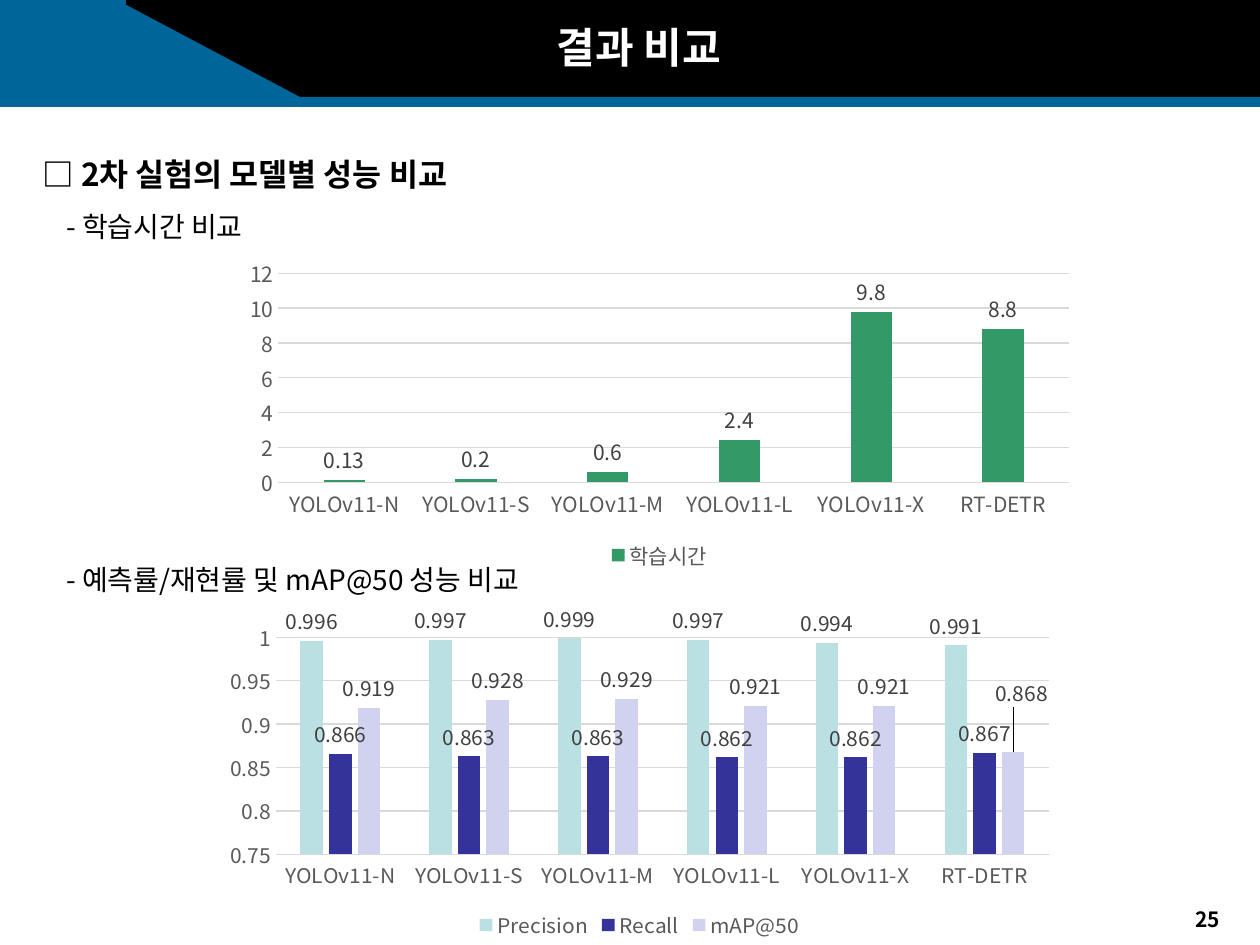
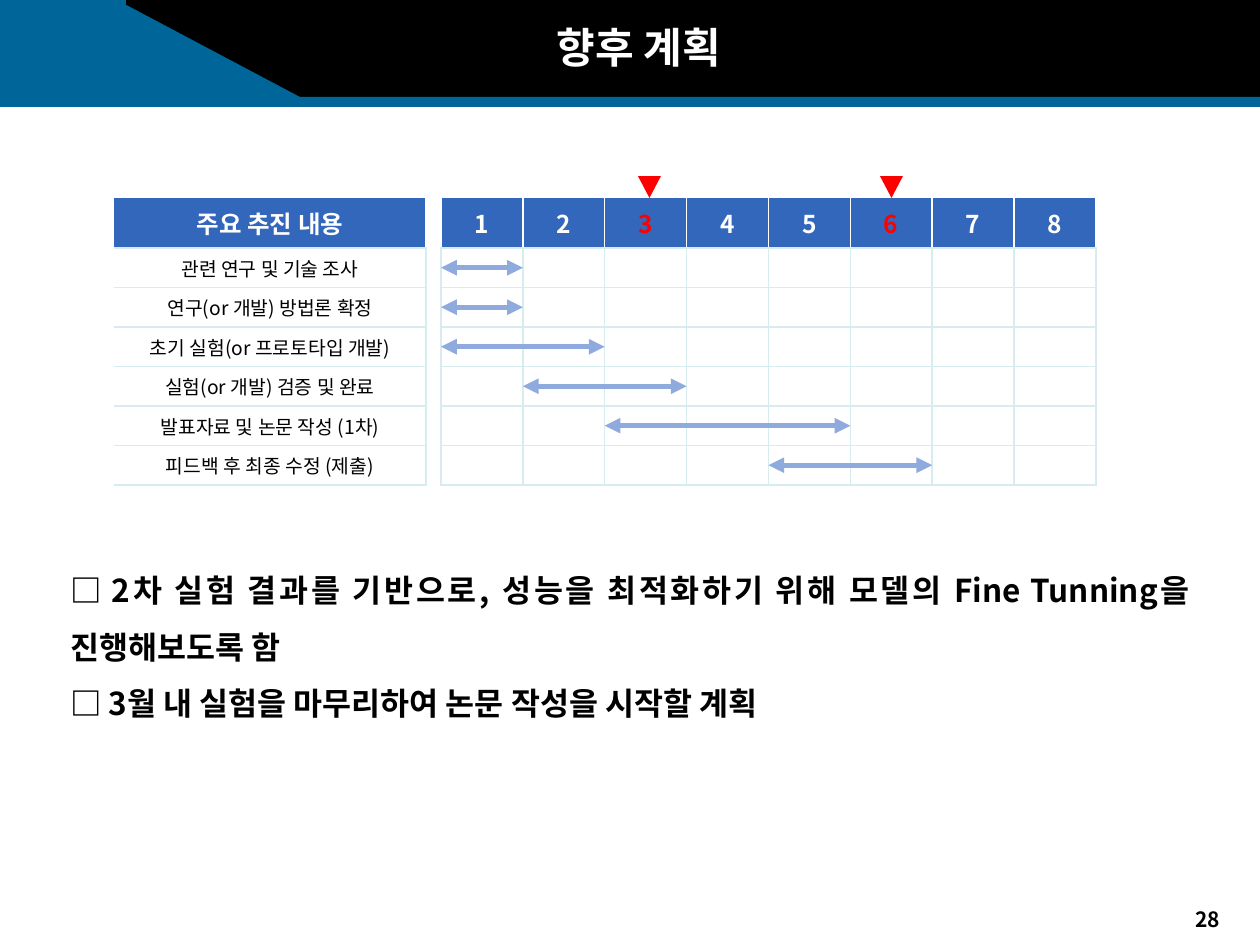
from lxml import etree
from pptx import Presentation
from pptx.chart.data import CategoryChartData
from pptx.dml.color import RGBColor
from pptx.enum.chart import (XL_CHART_TYPE as Kind, XL_LABEL_POSITION as Spot,
                             XL_LEGEND_POSITION as Side, XL_TICK_MARK as Tick)
from pptx.enum.shapes import MSO_CONNECTOR as Conn, MSO_SHAPE as Shape
from pptx.enum.text import MSO_ANCHOR as Anchor, PP_ALIGN as Align
from pptx.oxml import parse_xml
from pptx.oxml.ns import nsdecls, qn
from pptx.util import Pt

# Shared look
FACE = "Noto Sans CJK KR"
BLACK, WHITE, RED = "000000", "FFFFFF", "FF0000"
BLUE, HEAD, GRID, ARROW = "006699", "3367BB", "D6ECEE", "8FAADC"
RULE, AXIS, LABEL = "D9D9D9", "595959", "404040"
BANDS = [  # shape, box, fill
    (Shape.RECTANGLE, (117, 0, 1143, 106), BLACK),
    (Shape.RIGHT_TRIANGLE, (117, 0, 200, 106), BLUE),
    (Shape.RECTANGLE, (0, 0, 126, 106), BLUE),
    (Shape.RECTANGLE, (0, 97, 1260, 10), BLUE),
]

# Results slide: text, size, bold, indent in px, space before in pt
NOTES = [
    ("□ 2차 실험의 모델별 성능 비교", 18, True, 0, 0),
    ("- 학습시간 비교", 16, False, 24, 0),
    ("- 예측률/재현률 및 mAP@50 성능 비교", 16, False, 24, 173),
]
MODELS = ["YOLOv11-N", "YOLOv11-S", "YOLOv11-M", "YOLOv11-L", "YOLOv11-X", "RT-DETR"]
TIMES = [("학습시간", "339966", (0.13, 0.2, 0.6, 2.4, 9.8, 8.8))]
SCORES = [
    ("Precision", "BBE0E3", (0.996, 0.997, 0.999, 0.997, 0.994, 0.991)),
    ("Recall", "333399", (0.866, 0.863, 0.863, 0.862, 0.862, 0.867)),
    ("mAP@50", "D1D1F0", (0.919, 0.928, 0.929, 0.921, 0.921, 0.868)),
]

# Plan slide: task, first and last month
TASKS = [
    ("관련 연구 및 기술 조사", 1, 1),
    ("연구(or 개발) 방법론 확정", 1, 1),
    ("초기 실험(or 프로토타입 개발)", 1, 2),
    ("실험(or 개발) 검증 및 완료", 2, 3),
    ("발표자료 및 논문 작성 (1차)", 3, 5),
    ("피드백 후 최종 수정 (제출)", 5, 6),
]
MONTHS = 8
MARKS = {3: 638, 6: 880}  # month: left edge of its marker
GOALS = [
    ("□ 2차 실험 결과를 기반으로, 성능을 최적화하기 위해 모델의 Fine Tunning을 진행해보도록 함",
     18, True, 0, 0),
    ("□ 3월 내 실험을 마무리하여 논문 작성을 시작할 계획", 18, True, 0, 0),
]
TOP, HEAD_H, BODY_H = 198, 50, 237
LEFT, WIDE = 441, 655
ROW, COL = BODY_H / len(TASKS), WIDE / MONTHS


def px(n):
    return round(n * 914400 / 126)


def place(*box):
    return [px(n) for n in box]


def rgb(code):
    return RGBColor.from_string(code)


def style(font, size, color, bold=False):
    font.name, font.size, font.bold = FACE, Pt(size), bold
    font.color.rgb = rgb(color)


def add_fig(slide, kind, box, color):
    fig = slide.shapes.add_shape(kind, *place(*box))
    fig.shadow.inherit = False
    fig.fill.solid()
    fig.fill.fore_color.rgb = rgb(color)
    fig.line.fill.background()


def add_text(slide, box, lines, color=BLACK, align=Align.CENTER, gap=None):
    frame = slide.shapes.add_textbox(*place(*box)).text_frame
    frame.word_wrap = True
    for i, (text, size, bold, dent, before) in enumerate(lines):
        para = frame.add_paragraph() if i else frame.paragraphs[0]
        para.text, para.alignment = text, align
        if gap:
            para.line_spacing = gap
        if before:
            para.space_before = Pt(before)
        if dent:
            para._p.get_or_add_pPr().set("marL", str(px(dent)))
        style(para.font, size, color, bold)


def add_page(deck, title, num):
    slide = deck.slides.add_slide(deck.slide_layouts[6])
    for band in BANDS:
        add_fig(slide, *band)
    add_text(slide, (292, 15, 694, 63), [(title, 24, True, 0, 0)], WHITE)
    add_text(slide, (1173, 900, 69, 38), [(num, 12, True, 0, 0)])
    return slide


def add_bars(slide, box, rows, low, high, step):
    data = CategoryChartData()
    data.categories = MODELS
    for name, _, vals in rows:
        data.add_series(name, vals)
    chart = slide.shapes.add_chart(Kind.COLUMN_CLUSTERED, *place(*box), data).chart
    style(chart.font, 10, BLACK)
    chart.has_title = False
    chart.has_legend = True
    chart.legend.position = Side.BOTTOM
    chart.legend.include_in_layout = False
    style(chart.legend.font, 12, AXIS)
    cat, val = chart.category_axis, chart.value_axis
    for axis in (cat, val):
        axis.major_tick_mark = axis.minor_tick_mark = Tick.NONE
        style(axis.tick_labels.font, 12, AXIS)
    val.minimum_scale, val.maximum_scale, val.major_unit = low, high, step
    val.format.line.fill.background()
    for line in (cat.format.line, val.major_gridlines.format.line):
        line.color.rgb, line.width = rgb(RULE), Pt(0.75)
    plot = chart.plots[0]
    plot.gap_width, plot.overlap, plot.vary_by_categories = 219, -27, False
    for bar, (_, color, _) in zip(plot.series, rows):
        bar.format.fill.solid()
        bar.format.fill.fore_color.rgb = rgb(color)
        tags = bar.data_labels
        tags.show_value, tags.position = True, Spot.OUTSIDE_END
        style(tags.font, 12, LABEL)
    return chart


def lift_tag(chart, bar, point, x, y):
    """Shift one value label by a share of the chart's size."""
    tag = chart.plots[0].series[bar].points[point].data_label
    style(tag.font, 12, LABEL)
    tag.position = Spot.OUTSIDE_END
    idx = chart.element.find(f".//{qn('c:dLbl')}/{qn('c:idx')}")
    idx.addnext(parse_xml(
        f'<c:layout {nsdecls("c")}><c:manualLayout><c:x val="{x}"/>'
        f'<c:y val="{y}"/></c:manualLayout></c:layout>'))


def set_edges(cell, **edges):
    props = cell._tc.get_or_add_tcPr()
    for side in "LRTB":
        color = edges.get(side)
        line = etree.SubElement(props, qn(f"a:ln{side}"), w=str(Pt(1)))
        fill = etree.SubElement(line, qn("a:solidFill" if color else "a:noFill"))
        if color:
            etree.SubElement(fill, qn("a:srgbClr"), val=color)


def fill_cell(cell, text, size, color, edges, back=None):
    set_edges(cell, **edges)
    if back:
        cell.fill.solid()
        cell.fill.fore_color.rgb = rgb(back)
    else:
        cell.fill.background()
    cell.vertical_anchor = Anchor.MIDDLE
    cell.margin_top = cell.margin_bottom = 0
    para = cell.text_frame.paragraphs[0]
    para.alignment = Align.CENTER
    if text:
        para.text = text
        style(para.font, size, color, bool(back))
    else:
        para._p.get_or_add_endParaRPr().set("sz", str(size * 100))


def add_grid(slide, left, wide, heads, body, side):
    """Header row over body rows; side is the colour of the left edges."""
    table = slide.shapes.add_table(len(body) + 1, len(heads), *place(
        left, TOP, wide, HEAD_H + BODY_H)).table
    table.first_row = table.horz_banding = False
    for col in table.columns:
        col.width = px(wide / len(heads))
    for r, row in enumerate(table.rows):
        row.height = px(ROW if r else HEAD_H)
    for c, (text, color) in enumerate(heads):
        fill_cell(table.cell(0, c), text, 14, color,
                  dict(L=side and WHITE, R=WHITE, B=GRID), HEAD)
    for r, texts in enumerate(body, 1):
        for c, text in enumerate(texts):
            fill_cell(table.cell(r, c), text, 11, BLACK,
                      dict(L=side, R=GRID, T=GRID, B=GRID))


def add_arrow(slide, x1, x2, y):
    line = slide.shapes.add_connector(Conn.STRAIGHT, *place(x1, y, x2, y))
    line.line.color.rgb, line.line.width = rgb(ARROW), Pt(3)
    for end in ("headEnd", "tailEnd"):
        etree.SubElement(line.line._get_or_add_ln(), qn(f"a:{end}"), type="triangle")
    etree.SubElement(line._element.spPr, qn("a:effectLst"))


def show_results(deck):
    slide = add_page(deck, "결과 비교", "25")
    add_text(slide, (30, 130, 1221, 585), NOTES, align=Align.JUSTIFY, gap=1.5)
    scores = add_bars(slide, (213, 603, 853, 342), SCORES, 0.75, 1, 0.05)
    lift_tag(scores, 2, 5, 0.01, -0.12)
    add_bars(slide, (233, 251, 853, 325), TIMES, 0, 12, 2)


def show_plan(deck):
    slide = add_page(deck, "향후 계획", "28")
    months = [(str(m), RED if m in MARKS else WHITE) for m in range(1, MONTHS + 1)]
    add_grid(slide, LEFT, WIDE, months, [[""] * MONTHS for _ in TASKS], GRID)
    add_grid(slide, 114, 312, [("주요 추진 내용", WHITE)],
             [[task] for task, _, _ in TASKS], None)
    for x in MARKS.values():
        add_fig(slide, Shape.FLOWCHART_MERGE, (x, 176, 23, 22), RED)
    for i, (_, first, last) in enumerate(TASKS):
        add_arrow(slide, LEFT + (first - 1) * COL, LEFT + last * COL,
                  TOP + HEAD_H + (i + 0.5) * ROW)
    add_text(slide, (58, 546, 1144, 175), GOALS, align=Align.JUSTIFY, gap=1.5)


def main():
    deck = Presentation()
    deck.slide_width, deck.slide_height = place(1260, 945)
    show_results(deck)
    show_plan(deck)
    deck.save("out.pptx")


if __name__ == "__main__":
    main()
